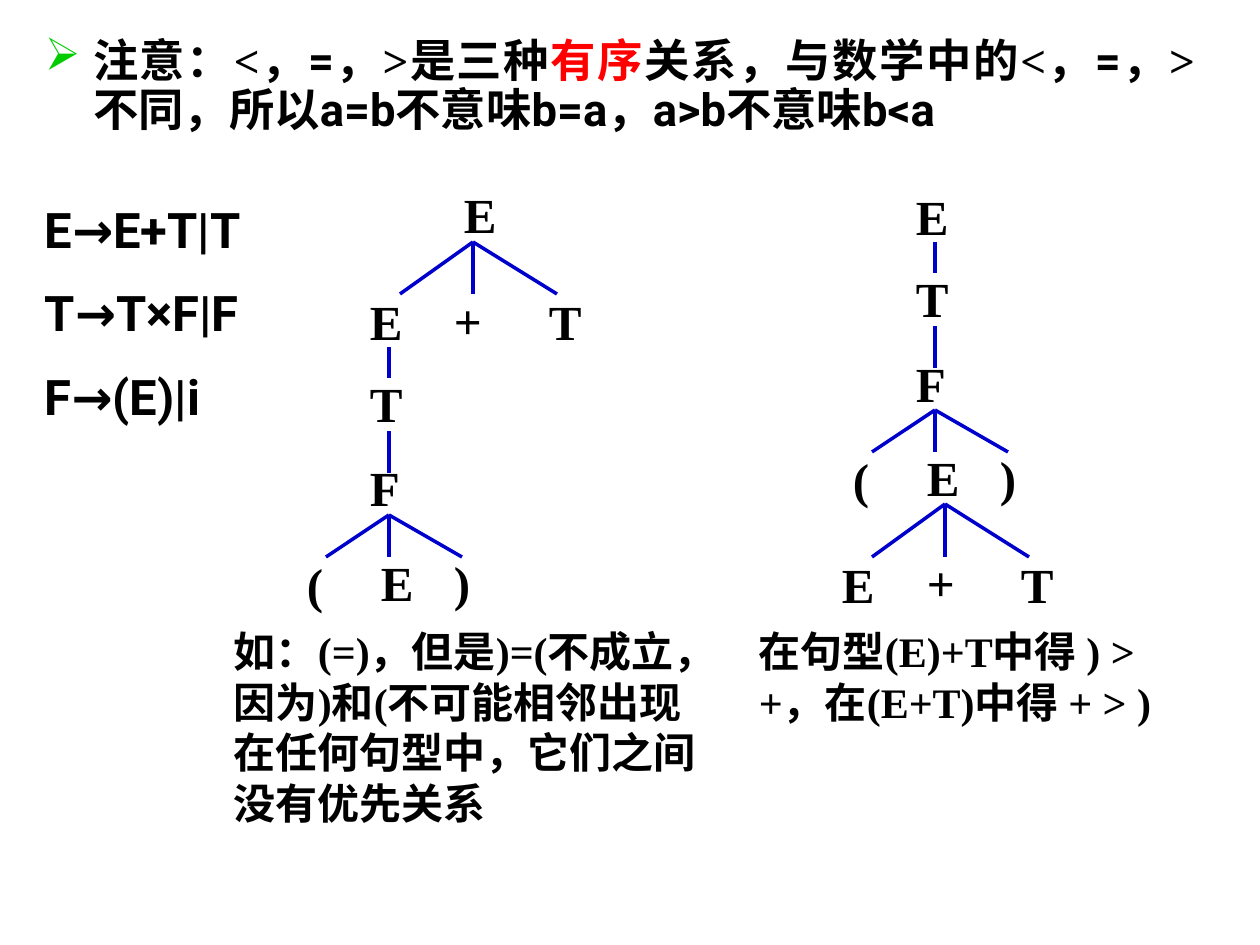
from lxml.etree import SubElement
from pptx import Presentation
from pptx.dml.color import RGBColor
from pptx.enum.lang import MSO_LANGUAGE_ID as LANG
from pptx.enum.shapes import MSO_CONNECTOR as LINK
from pptx.enum.text import MSO_AUTO_SIZE as FIT, PP_ALIGN as ALIGN
from pptx.oxml.ns import qn
from pptx.util import Pt

COLORS = {"text": "000000", "accent": "FF0000", "bullet": "00CC00", "branch": "0000CC"}
SERIF, SANS = "Times New Roman", "Roboto"
EMU_PER_PX = 914400 / 126


def px(value):
    return round(value * EMU_PER_PX)


def rgb(name):
    return RGBColor.from_string(COLORS[name])


def set_values(target, values):
    for name, value in values.items():
        setattr(target, name, value)


class GrammarSlide:
    margins = {"margin_left": px(13), "margin_right": px(13),
               "margin_top": px(6), "margin_bottom": px(6)}
    font = {"bold": True, "language_id": LANG.SIMPLIFIED_CHINESE}
    node_width, node_height, node_size = 63, 72, 28

    def __init__(self, deck):
        self.page = deck.slides.add_slide(deck.slide_layouts[6])

    def text(self, frame, paragraphs, size, fit=FIT.SHAPE_TO_FIT_TEXT, bullet=None, **layout):
        box = self.page.shapes.add_textbox(*map(px, frame))
        body = box.text_frame
        set_values(body, {**self.margins, "word_wrap": True, "auto_size": fit})
        for index, runs in enumerate(paragraphs):
            para = body.add_paragraph() if index else body.paragraphs[0]
            if bullet:
                self.bullet(para, bullet)
            set_values(para, layout)
            if index:
                para.space_before = Pt(17.5)
            for words, face, color in runs:
                span = para.add_run()
                span.text = words
                set_values(span.font, {**self.font, "name": face, "size": Pt(size)})
                span.font.color.rgb = rgb(color)

    def bullet(self, para, mark, indent=48):
        props = para._p.get_or_add_pPr()
        props.set("marL", str(px(indent)))
        props.set("indent", str(-px(indent)))
        color = SubElement(props, qn("a:buClr"))
        SubElement(color, qn("a:srgbClr"), val=COLORS["bullet"])
        SubElement(props, qn("a:buChar"), char=mark)

    def node(self, label, left, top):
        frame = (left, top, self.node_width, self.node_height)
        self.text(frame, [[(label, SERIF, "text")]], self.node_size)

    def branches(self, x, top, bottom, ends):
        for end in ends:
            line = self.page.shapes.add_connector(LINK.STRAIGHT, *map(px, (x, top, end, bottom)))
            line.line.color.rgb = rgb("branch")
            line.line.width = Pt(2)
            SubElement(line._element.spPr, qn("a:effectLst"))

    def tree(self, nodes, fans):
        for node in nodes:
            self.node(*node)
        for fan in fans:
            self.branches(*fan)


def main():
    deck = Presentation()
    set_values(deck, {"slide_width": px(1260), "slide_height": px(945)})
    slide = GrammarSlide(deck)

    note = [
        ("注意：<，", SERIF, "text"), ("=，", SANS, "text"), (">是三种", SERIF, "text"),
        ("有序", SERIF, "accent"), ("关系，与数学中的<，", SERIF, "text"),
        ("=，", SANS, "text"), (">不同，所以", SERIF, "text"), ("a=b", SANS, "text"),
        ("不意味", SERIF, "text"), ("b=a，a>b", SANS, "text"),
        ("不意味", SERIF, "text"), ("b<a", SANS, "text"),
    ]
    slide.text((32, 32, 1176, 147), [note], 25.9, fit=FIT.NONE, bullet="➢",
               alignment=ALIGN.JUSTIFY, line_spacing=0.9)

    slide.tree(
        [("E", 451, 179), ("E", 357, 286), ("+", 441, 284), ("T", 536, 286),
         ("T", 357, 368), ("F", 357, 451),
         ("(", 294, 548), ("E", 368, 546), (")", 441, 546)],
        [(473, 242, 294, (400, 473, 557)), (389, 347, 378, (389,)),
         (389, 431, 473, (389,)), (389, 515, 557, (326, 389, 462))])
    slide.tree(
        [("E", 903, 180), ("T", 903, 262), ("F", 903, 347),
         ("(", 840, 444), ("E", 914, 441), (")", 987, 441),
         ("E", 829, 548), ("+", 914, 546), ("T", 1008, 548)],
        [(935, 242, 273, (935,)), (935, 326, 368, (935,)),
         (935, 410, 452, (872, 935, 1008)), (945, 504, 557, (872, 945, 1029))])

    rules = ["E→E+T|T", "T→T×F|F", "F→(E)|i"]
    slide.text((32, 200, 325, 233), [[(rule, SANS, "text")] for rule in rules], 28,
               line_spacing=0.9)

    captions = [
        ((221, 620, 515, 214),
         "如：(=)，但是)=(不成立，因为)和(不可能相邻出现在任何句型中，它们之间没有优先关系"),
        ((746, 620, 452, 164), "在句型(E)+T中得 ) > +，在(E+T)中得 + > )"),
    ]
    for frame, words in captions:
        slide.text(frame, [[(words, SERIF, "text")]], 24)

    deck.save("out.pptx")


if __name__ == "__main__":
    main()
